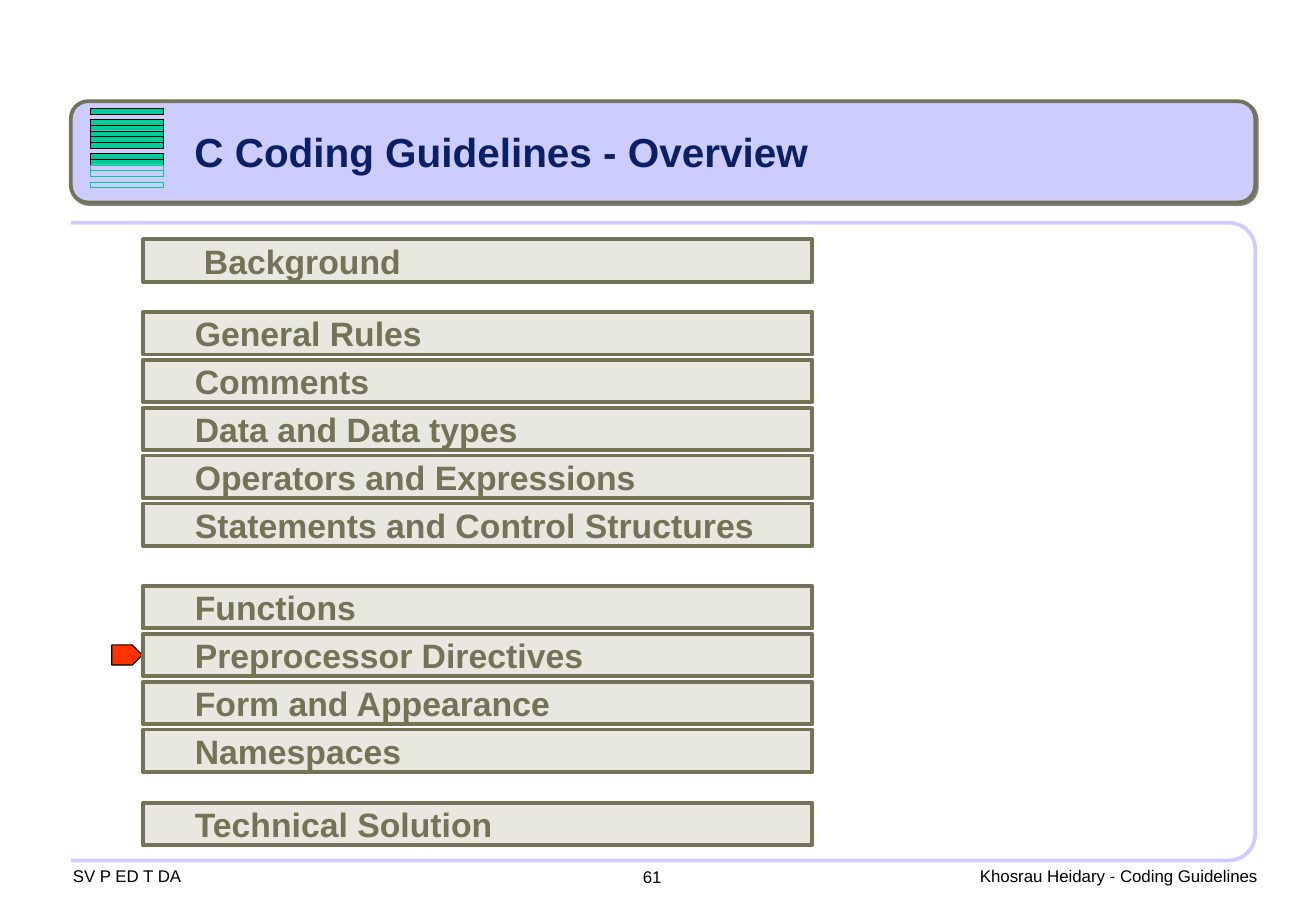
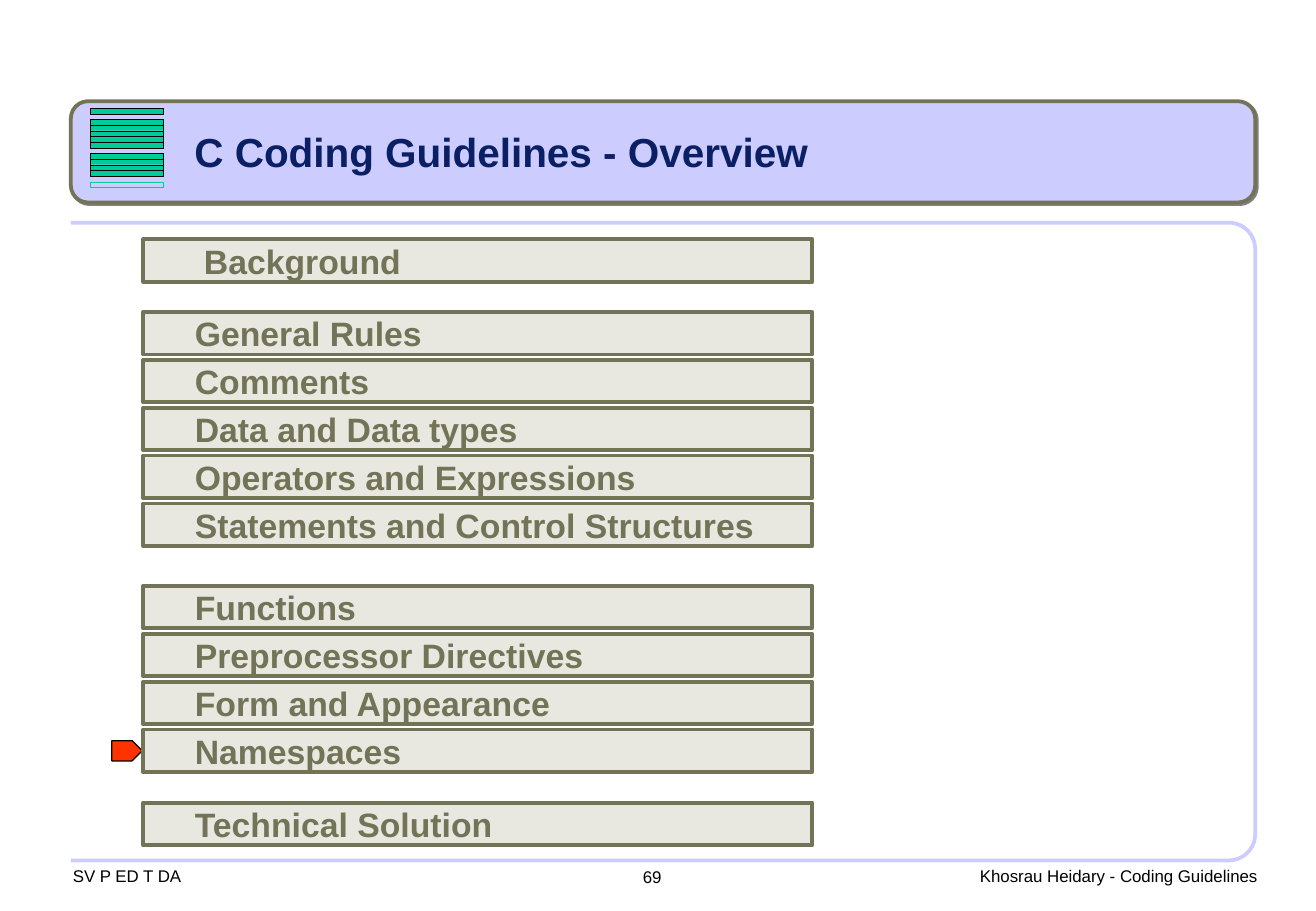
"""Build two overview slides of a C coding guidelines course."""
from math import cos, pi, sin

from lxml.etree import SubElement
from pptx import Presentation
from pptx.dml.color import RGBColor
from pptx.enum.shapes import MSO_SHAPE
from pptx.enum.text import MSO_ANCHOR, PP_ALIGN
from pptx.oxml.ns import qn
from pptx.util import Inches, Pt

FONT = "Arial"
COLUMNS, ROWS = 130, 90
BLACK, NAVY, OLIVE, IVORY = "000000", "0A1F64", "727357", "E8E8E0"
LAVENDER, GREEN, RED, GREY = "CCCCFF", "00CC99", "FF3300", "808080"
LEFT, BAND_WIDTH = 7, 117
ITEM_LEFT, ITEM_WIDTH, ITEM_HEIGHT, ITEM_STEP = 14.15, 66.1, 4.2, 4.73
MARKER_WIDTH, MARKER_HEIGHT = 3, 2
STRIPE_TOP, STRIPE_STEP = 10.68, 0.56
SECTIONS = [
    (23.64, 6, ["Background"]),
    (30.82, 5.1, ["General Rules", "Comments", "Data and Data types",
                  "Operators and Expressions",
                  "Statements and Control Structures"]),
    (57.88, 5.1, ["Functions", "Preprocessor Directives",
                  "Form and Appearance", "Namespaces"]),
    (79.3, 5.1, ["Technical Solution"]),
]


def colour(code):
    """Turn a hex string into a colour."""
    return RGBColor.from_string(code)


class OverviewDeck:
    """Hold the style and the current slide."""

    def __init__(self):
        """Open an empty deck with a grid of columns and rows."""
        self.deck = Presentation()
        self.deck.slide_width = Inches(10.84)
        self.deck.slide_height = Inches(7.5)
        self.page = None

    def across(self, columns):
        """Convert columns to a length."""
        return round(self.deck.slide_width * columns / COLUMNS)

    def down(self, rows):
        """Convert rows to a length."""
        return round(self.deck.slide_height * rows / ROWS)

    def area(self, left, top, width, height):
        """Convert a grid area to lengths."""
        return (self.across(left), self.down(top),
                self.across(width), self.down(height))

    def paint(self, shape, fill, line, weight):
        """Set the fill and outline of a shape and drop its shadow."""
        shape.shadow.inherit = False
        if fill:
            shape.fill.solid()
            shape.fill.fore_color.rgb = colour(fill)
        else:
            shape.fill.background()
        shape.line.color.rgb = colour(line)
        shape.line.width = Pt(weight)

    def shape(self, kind, area, fill, line, weight):
        """Add a preset shape."""
        shape = self.page.shapes.add_shape(kind, *self.area(*area))
        self.paint(shape, fill, line, weight)
        return shape

    def put_text(self, shape, text, size, shade, bold=False, inset=0, top=0):
        """Put one line of left-aligned text into a shape."""
        frame = shape.text_frame
        frame.text = text
        frame.margin_left = self.across(inset)
        frame.margin_top = self.down(top)
        frame.margin_right = frame.margin_bottom = 0
        para = frame.paragraphs[0]
        para.alignment = PP_ALIGN.LEFT
        font = para.runs[0].font
        font.name, font.size, font.bold = FONT, Pt(size), bold
        font.color.rgb = colour(shade)
        return frame

    def label(self, area, text, size=10, shade=BLACK, bold=False, top=0.5):
        """Add a text box."""
        box = self.page.shapes.add_textbox(*self.area(*area))
        frame = self.put_text(box, text, size, shade, bold, top=top)
        frame.word_wrap = True

    def frame(self, top=22, bottom=85, radius=2.6, steps=12):
        """Draw the open frame with two rounded corners on the right."""
        right = LEFT + BAND_WIDTH
        angles = [pi / 2 * step / steps for step in range(steps + 1)]
        points = [(right - radius + radius * sin(angle),
                   top + radius - radius * cos(angle)) for angle in angles]
        points += [(x, top + bottom - y) for x, y in reversed(points)]
        points.append((LEFT, bottom))
        outline = self.page.shapes.build_freeform(
            self.across(LEFT), self.down(top))
        outline.add_line_segments(
            [(self.across(x), self.down(y)) for x, y in points], close=False)
        self.paint(outline.convert_to_shape(), None, LAVENDER, 2.25)

    def band(self, title):
        """Draw the title band with its solid shadow."""
        band = self.shape(MSO_SHAPE.ROUNDED_RECTANGLE,
                          (LEFT, 10, BAND_WIDTH, 10), LAVENDER, OLIVE, 2.25)
        band.adjustments[0] = 0.17
        effects = band.element.spPr.find(qn("a:effectLst"))
        shadow = SubElement(effects, qn("a:outerShdw"), dist=str(Pt(1.4)),
                            dir="2700000", algn="ctr", rotWithShape="0")
        SubElement(shadow, qn("a:srgbClr"), val=GREY)
        self.label((19.2, 12, 90, 6), title, 24, NAVY, True, top=0.6)

    def stripe(self, slot, done):
        """Draw one stripe of the progress sign."""
        area = (8.9, STRIPE_TOP + slot * STRIPE_STEP, 7.2, STRIPE_STEP)
        self.shape(MSO_SHAPE.RECTANGLE, area, GREEN if done else None,
                   BLACK if done else GREEN, 0.25)

    def marker(self, top):
        """Point at the current topic."""
        area = (ITEM_LEFT - 0.1 - MARKER_WIDTH,
                top + (ITEM_HEIGHT - MARKER_HEIGHT) / 2,
                MARKER_WIDTH, MARKER_HEIGHT)
        self.shape(MSO_SHAPE.PENTAGON, area, RED, BLACK, 0.75)

    def topic(self, top, inset, text):
        """Draw one topic bar."""
        bar = self.shape(MSO_SHAPE.RECTANGLE,
                         (ITEM_LEFT, top, ITEM_WIDTH, ITEM_HEIGHT),
                         IVORY, OLIVE, 2.25)
        frame = self.put_text(bar, text, 20, OLIVE, True, inset)
        frame.vertical_anchor = MSO_ANCHOR.MIDDLE

    def agenda(self, current):
        """Draw all topics, with progress up to the current one."""
        done, slot = True, 0
        for start, inset, topics in SECTIONS:
            for index, text in enumerate(topics):
                top = start + index * ITEM_STEP
                self.stripe(slot, done)
                if text == current:
                    self.marker(top)
                    done = False
                self.topic(top, inset, text)
                slot += 1
            slot += 1

    def footer(self, number):
        """Set the three footer texts."""
        self.label((7.2, 85, 24.7, 3), "SV P ED T DA")
        self.label((96.8, 85, 29.9, 3), "Khosrau Heidary - Coding Guidelines")
        self.label((63.5, 85, 8, 3.2), str(number), top=0.6)

    def overview(self, number, current):
        """Add one overview slide."""
        self.page = self.deck.slides.add_slide(self.deck.slide_layouts[6])
        self.footer(number)
        self.frame()
        self.band("C Coding Guidelines - Overview")
        self.agenda(current)


def main():
    """Build and save the deck."""
    guide = OverviewDeck()
    guide.overview(61, "Preprocessor Directives")
    guide.overview(69, "Namespaces")
    guide.deck.save("out.pptx")


if __name__ == "__main__":
    main()
